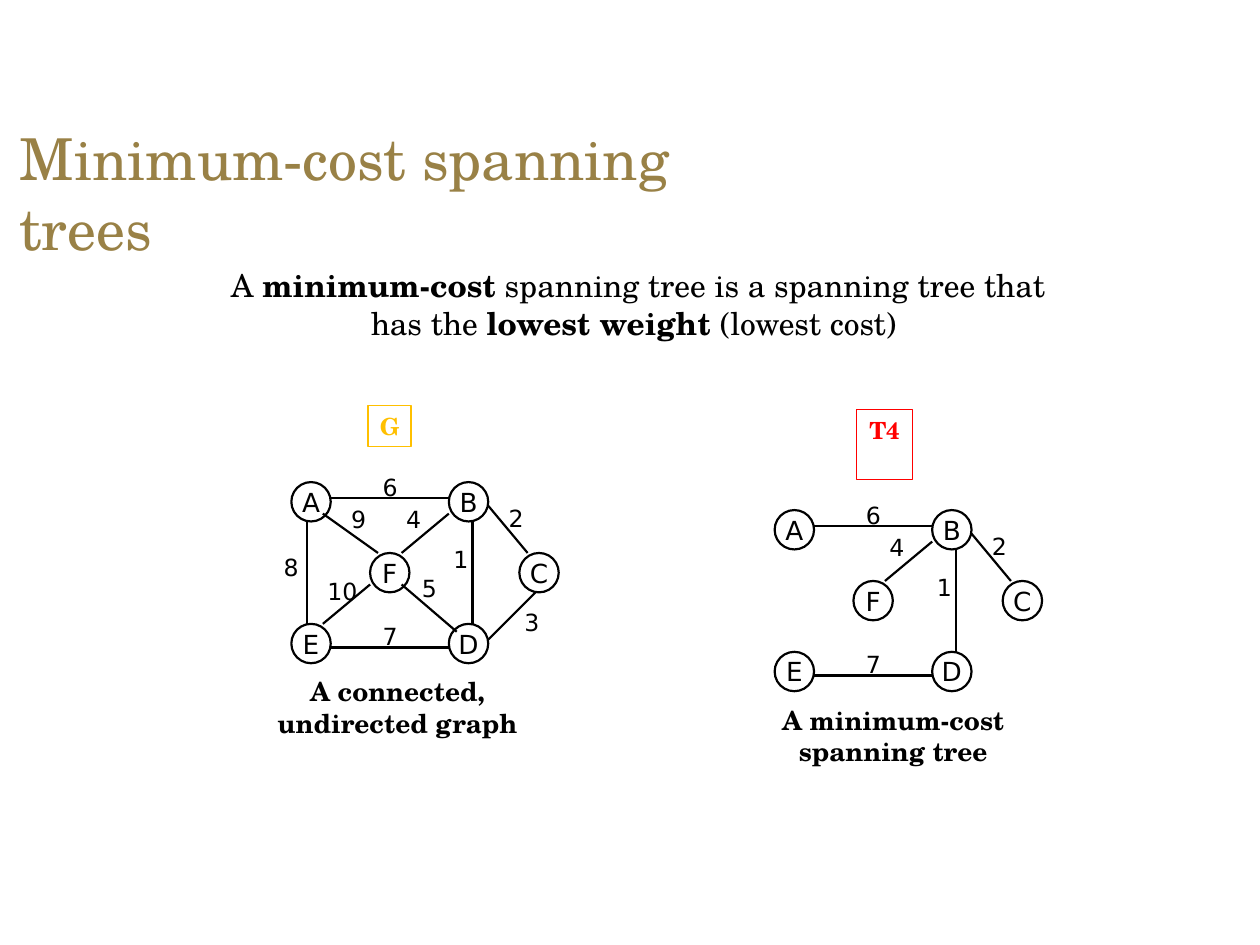
"""Build a slide that compares a weighted graph with its minimum-cost spanning tree."""
from lxml import etree
from pptx import Presentation
from pptx.dml.color import RGBColor
from pptx.enum.shapes import MSO_CONNECTOR, MSO_SHAPE
from pptx.enum.text import MSO_ANCHOR, MSO_AUTO_SIZE, PP_ALIGN
from pptx.oxml.ns import qn
from pptx.util import Pt

STRAIGHT = MSO_CONNECTOR.STRAIGHT
OVAL, RECTANGLE = MSO_SHAPE.OVAL, MSO_SHAPE.RECTANGLE
TOP, MIDDLE = MSO_ANCHOR.TOP, MSO_ANCHOR.MIDDLE
LEFT, CENTER = PP_ALIGN.LEFT, PP_ALIGN.CENTER
NO_FIT = MSO_AUTO_SIZE.NONE
SERIF, SANS = "TeX Gyre Schola", "DejaVu Sans"
BLACK, BRONZE, GOLD, RED = "000000", "998146", "FFC000", "FF0000"


def color(hex_string):
    return RGBColor.from_string(hex_string)


def write(shape, text, font_name, size, hex_string, bold=False, align=LEFT, anchor=TOP, wrap=True):
    frame = shape.text_frame
    frame.auto_size = NO_FIT
    frame.word_wrap = wrap
    frame.vertical_anchor = anchor
    frame.text = text
    paragraph = frame.paragraphs[0]
    paragraph.alignment = align
    paragraph.font.name = font_name
    paragraph.font.size = Pt(size)
    paragraph.font.bold = bold
    paragraph.font.color.rgb = color(hex_string)


prs = Presentation()
prs.slide_width, prs.slide_height = Pt(720), Pt(540)
slide = prs.slides.add_slide(prs.slide_layouts[1])

title = slide.shapes.title
title.left, title.top, title.width, title.height = Pt(6), Pt(67.7), Pt(459), Pt(45)
write(title, "Minimum-cost spanning trees", SERIF, 33, BRONZE)
title_frame = title.text_frame
title_frame.margin_left = title_frame.margin_right = Pt(5.2)
title_frame.margin_top = title_frame.margin_bottom = Pt(2.6)

definition = slide.placeholders[1]
definition.left, definition.top, definition.width, definition.height = Pt(111.6), Pt(148.3), Pt(506), Pt(90.7)
definition.text_frame.auto_size = NO_FIT
definition_line = definition.text_frame.paragraphs[0]
definition_props = definition_line._p.get_or_add_pPr()
definition_props.set("marL", "0")
definition_props.set("indent", "0")
etree.SubElement(definition_props, qn("a:buNone"))
definition_line.alignment = CENTER
definition_line.space_before = Pt(0)
definition_line.font.name = SERIF
definition_line.font.size = Pt(18)
definition_line.font.color.rgb = color(BLACK)
for phrase, is_key in [
    ("A ", False),
    ("minimum-cost", True),
    (" spanning tree is a spanning tree that has the ", False),
    ("lowest weight ", True),
    ("(lowest cost) ", False),
]:
    run = definition_line.add_run()
    run.text = phrase
    run.font.bold = is_key

NODE_SIZE = 22.5
nodes = {
    "A": (166.5, 275.5),
    "B": (256.5, 275.5),
    "E": (166.5, 356.5),
    "D": (256.5, 356.5),
    "F": (211.5, 316),
    "C": (296.8, 316),
}
# name: (line start, line end, weight, weight position)
edges = {
    "AE": ((175.5, 298), (175.5, 356.5), "8", (155, 312.5)),
    "AB": ((189, 284.5), (256.5, 284.5), "6", (211.5, 266.5)),
    "BD": ((270, 298), (270, 356.5), "1", (252, 308)),
    "ED": ((189, 370), (256.5, 370), "7", (211.5, 352)),
    "EF": ((184.5, 356.5), (211.5, 334), "10", (180, 326)),
    "DF": ((261, 361), (229.5, 334), "5", (234, 324.5)),
    "AF": ((184.5, 293.5), (216, 316), "9", (193.5, 285)),
    "BF": ((256.5, 293.5), (229.5, 316), "4", (225, 285)),
    "DC": ((279, 365.5), (306, 338.5), "3", (292.5, 344)),
    "BC": ((279, 289), (301.5, 316), "2", (283.5, 284.5)),
}
tree_edges = ["AB", "BD", "ED", "BF", "BC"]

for edge_names, dx, dy, caption, caption_box in [
    (edges, 0, 0, "A connected, undirected graph", (126, 382.5, 202.5, 44)),
    (tree_edges, 276.2, 16, "A minimum-cost spanning tree", (405.4, 398.9, 210, 44)),
]:
    diagram = slide.shapes.add_group_shape().shapes
    for letter, (x, y) in nodes.items():
        node = diagram.add_shape(OVAL, Pt(x + dx), Pt(y + dy), Pt(NODE_SIZE), Pt(NODE_SIZE))
        node.shadow.inherit = False
        node.fill.background()
        node.line.color.rgb = color(BLACK)
        node.line.width = Pt(1.25)
        write(node, letter, SANS, 15, BLACK, align=CENTER, anchor=MIDDLE, wrap=False)

    for name in edge_names:
        (x1, y1), (x2, y2), weight, (label_x, label_y) = edges[name]
        edge = diagram.add_connector(STRAIGHT, Pt(x1 + dx), Pt(y1 + dy), Pt(x2 + dx), Pt(y2 + dy))
        edge.line.color.rgb = color(BLACK)
        edge.line.width = Pt(1.25)
        etree.SubElement(edge._element.spPr, qn("a:effectLst"))
        weight_label = diagram.add_textbox(Pt(label_x + dx), Pt(label_y + dy), Pt(32), Pt(23.5))
        write(weight_label, weight, SANS, 13.5, BLACK)

    caption_label = diagram.add_textbox(*map(Pt, caption_box))
    write(caption_label, caption, SERIF, 15, BLACK, bold=True, align=CENTER)

for tag_text, hex_string, tag_box in [
    ("G", GOLD, (210.4, 231.6, 24.6, 23.8)),
    ("T4", RED, (489.4, 234, 32, 40)),
]:
    tag = slide.shapes.add_shape(RECTANGLE, *map(Pt, tag_box))
    tag.shadow.inherit = False
    tag.fill.background()
    tag.line.color.rgb = color(hex_string)
    tag.line.width = Pt(0.75)
    write(tag, tag_text, SERIF, 13.5, hex_string, bold=True, align=CENTER, wrap=False)

prs.save("out.pptx")
